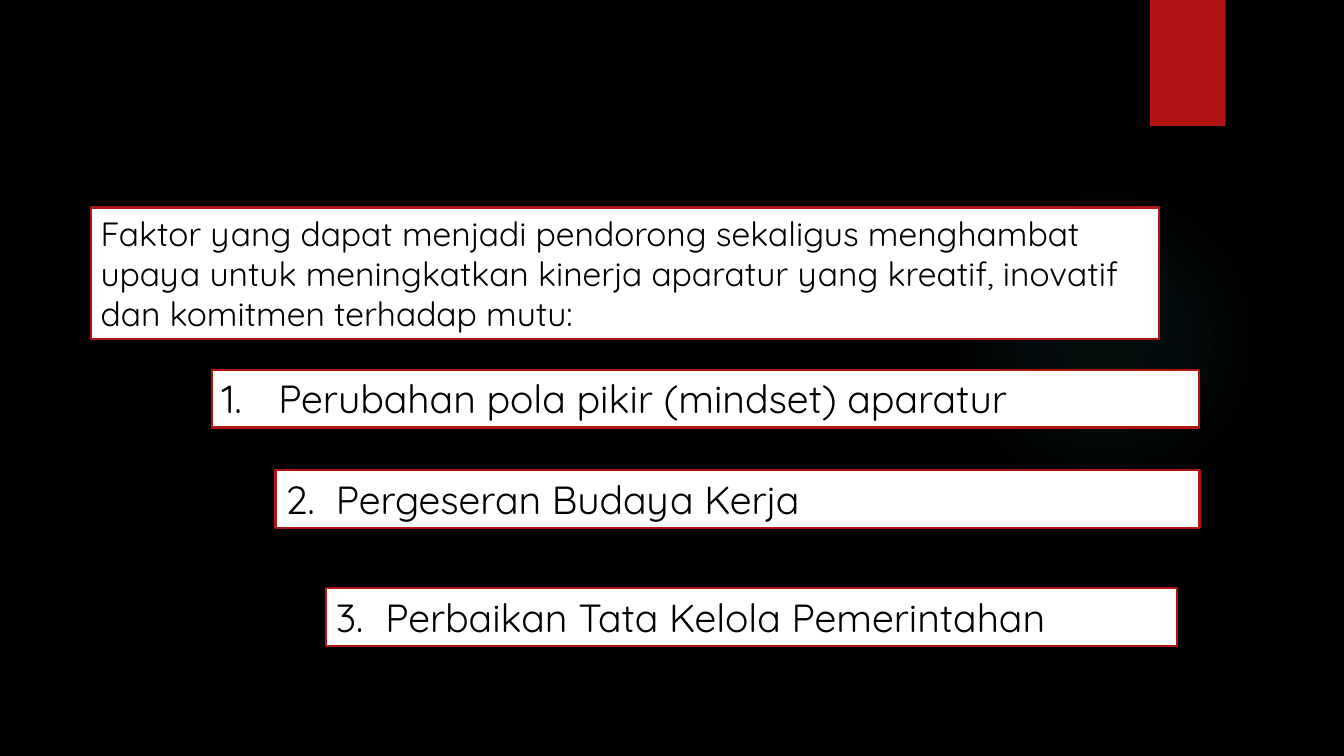
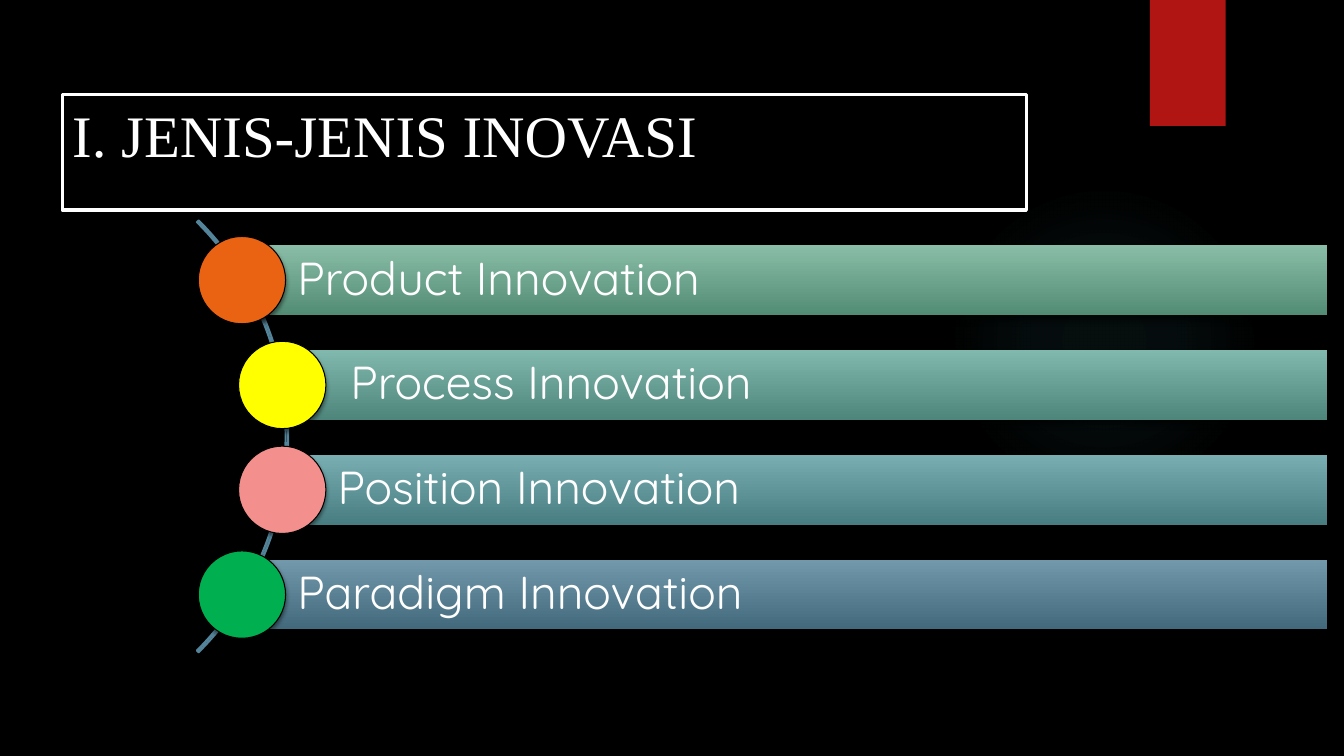
"""Build two slides on innovation on a grid of 160 columns by 90 rows."""
from pptx import Presentation
from pptx.dml.color import RGBColor
from pptx.enum.shapes import MSO_SHAPE as Shape
from pptx.enum.text import MSO_ANCHOR as Anchor, MSO_AUTO_SIZE as AutoSize, PP_ALIGN as Align
from pptx.oxml import parse_xml
from pptx.oxml.ns import nsdecls, qn
from pptx.util import Inches, Pt

UNIT = Inches(1) / 12
BLACK, WHITE, RED, TEAL, ARC_BLUE = "000000", "FFFFFF", "B01513", "50B9C1", "54849A"
BODY_FONT, TITLE_FONT = "Quicksand", "Times New Roman"
SOFT_SHADOW, DEEP_SHADOW = (45, 3, 2), (60, 5, 3)


def add_box(page, kind, place, fill=None, line=None, line_width=1.5, shadow=None):
    """Add a preset shape at a grid place, with hex colours and an optional shadow."""
    box = page.shapes.add_shape(kind, *(round(value * UNIT) for value in place))
    box.shadow.inherit = False
    if fill:
        box.fill.solid()
        box.fill.fore_color.rgb = RGBColor.from_string(fill)
    else:
        box.fill.background()
    if line:
        box.line.color.rgb = RGBColor.from_string(line)
        box.line.width = Pt(line_width)
    else:
        box.line.fill.background()
    if shadow:
        alpha, blur, distance = shadow
        box.element.spPr.find(qn("a:effectLst")).append(parse_xml(
            f'<a:outerShdw {nsdecls("a")} blurRad="{Pt(blur)}" dist="{Pt(distance)}" '
            f'dir="5400000" algn="ctr" rotWithShape="0"><a:srgbClr val="{BLACK}">'
            f'<a:alpha val="{alpha * 1000}"/></a:srgbClr></a:outerShdw>'))
    return box


def write(box, text, size, color, font=BODY_FONT, anchor=Anchor.TOP):
    """Put one left-aligned paragraph in a shape and return it."""
    frame = box.text_frame
    frame.text = text
    frame.word_wrap = True
    frame.auto_size = AutoSize.NONE
    frame.vertical_anchor = anchor
    para = frame.paragraphs[0]
    para.alignment = Align.LEFT
    for span in para.runs:
        span.font.size = Pt(size)
        span.font.name = font
        span.font.color.rgb = RGBColor.from_string(color)
    return para


deck = Presentation()
deck.slide_width, deck.slide_height = round(160 * UNIT), round(90 * UNIT)
master = deck.slide_master
master.background.fill.solid()
master.background.fill.fore_color.rgb = RGBColor.from_string(BLACK)

factors_page = deck.slides.add_slide(deck.slide_layouts[6])
types_page = deck.slides.add_slide(deck.slide_layouts[5])

glow = add_box(factors_page, Shape.OVAL, (112.9, 22, 37, 37), TEAL)
stops = "".join(
    f'<a:gs pos="{position * 1000}"><a:srgbClr val="{TEAL}">'
    f'<a:alpha val="{alpha * 1000}"/></a:srgbClr></a:gs>'
    for position, alpha in ((0, 7), (36, 6), (69, 0)))
glow_properties = glow.element.spPr
glow_properties.replace(glow_properties.find(qn("a:solidFill")), parse_xml(
    f'<a:gradFill {nsdecls("a")}><a:gsLst>{stops}</a:gsLst><a:path path="circle">'
    '<a:fillToRect l="50000" t="50000" r="50000" b="50000"/></a:path></a:gradFill>'))
tab = add_box(factors_page, Shape.RECTANGLE, (136.9, 0, 9, 15), RED, shadow=SOFT_SHADOW)
for order, decoration in enumerate((glow, tab)):
    decoration.element.nvSpPr.cNvPr.set("id", str(50 + order))
    master.shapes.element.insert(2 + order, decoration.element)

intro = add_box(factors_page, Shape.RECTANGLE, (10.8, 24.7, 127.2, 15.7), WHITE, RED)
write(intro, "Faktor yang dapat menjadi pendorong sekaligus menghambat upaya untuk "
      "meningkatkan kinerja aparatur yang kreatif, inovatif dan komitmen terhadap mutu:",
      24, BLACK)

factors = (
    ("Perubahan pola pikir (mindset) aparatur", 25.2, 44, 117.6, 6.75),
    ("Pergeseran Budaya Kerja", 32.8, 56, 110, 6),
    ("Perbaikan Tata Kelola Pemerintahan", 38.8, 70, 101.3, 5.9),
)
for number, (text, left, top, width, indent) in enumerate(factors, 1):
    box = add_box(factors_page, Shape.RECTANGLE, (left, top, width, 6.9), WHITE, RED)
    properties = write(box, text, 28, BLACK)._p.get_or_add_pPr()
    properties.set("marL", str(round(indent * UNIT)))
    properties.set("indent", str(round(-indent * UNIT)))
    properties.append(parse_xml(f'<a:buFont {nsdecls("a")} typeface="{BODY_FONT}"/>'))
    properties.append(parse_xml(
        f'<a:buAutoNum {nsdecls("a")} type="arabicPeriod" startAt="{number}"/>'))

title = types_page.shapes.title
title.left, title.top, title.width, title.height = (
    round(value * UNIT) for value in (7.4, 11.2, 114.8, 13.8))
title.fill.solid()
title.fill.fore_color.rgb = RGBColor.from_string(BLACK)
title.line.color.rgb = RGBColor.from_string(WHITE)
title.line.width = Pt(2.25)
write(title, "I. JENIS-JENIS INOVASI", 42, WHITE, TITLE_FONT)

arc = add_box(types_page, Shape.BLOCK_ARC, (-38.4, 15.6, 72.7, 72.7), line=ARC_BLUE)
for index, value in enumerate((189, 27, 0.004)):
    arc.adjustments[index] = value

BAR_TOP, BAR_PITCH, BAR_HEIGHT, BAR_RIGHT, DOT = 29.2, 12.48, 8.3, 158, 10.4
innovations = (
    ("Product Innovation", 28.8, 6.6, "89BDA7", "538C74", "EA6312"),
    ("Process Innovation", 33.6, 8.1, "80B8AE", "4E867C", "FFFF00"),
    ("Position Innovation", 33.6, 6.6, "78AEB2", "487E82", "F38F8D"),
    ("Paradigm Innovation", 28.8, 6.6, "7198AB", "436A7C", "00B050"),
)
for row, (text, left, inset, light, dark, dot_color) in enumerate(innovations):
    top = BAR_TOP + row * BAR_PITCH
    bar = add_box(types_page, Shape.RECTANGLE, (left, top, BAR_RIGHT - left, BAR_HEIGHT),
                  light, shadow=DEEP_SHADOW)
    bar.fill.gradient()
    bar.fill.gradient_angle = 270
    for stop, color in zip(bar.fill.gradient_stops, (light, dark)):
        stop.color.rgb = RGBColor.from_string(color)
    para = write(bar, text, 33, WHITE, anchor=Anchor.MIDDLE)
    para.line_spacing = 0.9
    bar.text_frame.margin_left = round(inset * UNIT)
    add_box(types_page, Shape.OVAL,
            (left - DOT / 2, top + (BAR_HEIGHT - DOT) / 2, DOT, DOT),
            dot_color, BLACK, 0.75, SOFT_SHADOW)

deck.save("out.pptx")
